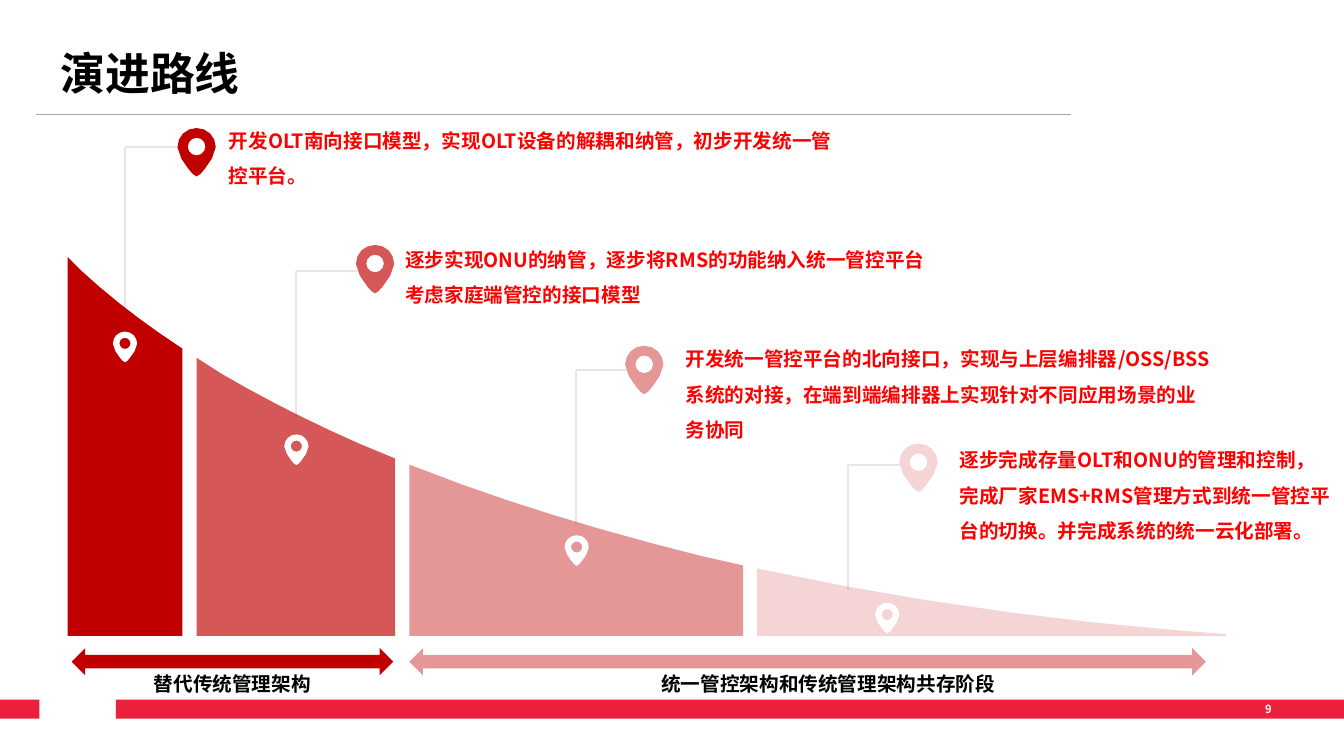
from math import cos, pi, sin
from lxml import etree
from pptx import Presentation
from pptx.dml.color import RGBColor
from pptx.enum.shapes import MSO_CONNECTOR, MSO_SHAPE
from pptx.enum.text import MSO_ANCHOR, MSO_AUTO_SIZE, PP_ALIGN
from pptx.oxml.ns import qn
from pptx.util import Inches, Pt

LINE = MSO_CONNECTOR.STRAIGHT
RECT, ARROW = MSO_SHAPE.RECTANGLE, MSO_SHAPE.LEFT_RIGHT_ARROW
TOP, MIDDLE = MSO_ANCHOR.TOP, MSO_ANCHOR.MIDDLE
GROW, FIXED = MSO_AUTO_SIZE.SHAPE_TO_FIT_TEXT, MSO_AUTO_SIZE.NONE
LEFT, CENTER = PP_ALIGN.LEFT, PP_ALIGN.CENTER
FONT = "Noto Sans CJK SC"
RED, BAR, BASE = "C00000", "EB203B", 6.31

deck = Presentation()
deck.slide_width, deck.slide_height = Inches(13.33), Inches(7.5)
COL, ROW = deck.slide_width / 13.33, deck.slide_height / 7.5
slide = deck.slides.add_slide(deck.slide_layouts[6])
shapes = slide.shapes


def paint(fill, tone, alpha=100):
    fill.solid()
    fill.fore_color.rgb = RGBColor.from_string(tone)
    if alpha < 100:
        node = fill._xPr.find(qn("a:solidFill"))[0]
        etree.SubElement(node, qn("a:alpha"), val=str(alpha * 1000))


def curve(a, b, c, d, steps):
    points = []
    for i in range(steps + 1):
        t = i / steps
        s = 1 - t
        points.append(tuple(s**3 * p + 3 * s * s * t * q + 3 * s * t * t * r + t**3 * e
                            for p, q, r, e in zip(a, b, c, d)))
    return points


stages = [
    {"tint": RED, "alpha": 100, "edge": (0.67, 1.81), "start": (0.67, 2.55),
     "bend": [(0.8, 2.68), (1.09, 2.95), (1.43, 3.21), (1.81, 3.46)], "end": (1.81, 3.46),
     "elbow": (1.8, 1.24, 1.46, 3.29), "pin": (1.95, 1.27), "dot": (1.24, 3.29)},
    {"tint": "D55757", "alpha": 66, "edge": (1.95, 3.92), "start": (1.95, 3.55),
     "bend": [(2.2, 3.71), (2.61, 3.95), (3.06, 4.18), (3.56, 4.4)], "end": (3.92, 4.55),
     "elbow": (3.64, 2.94, 2.69, 4.14), "pin": (3.72, 2.43), "dot": (2.94, 4.31)},
    {"tint": "E59696", "alpha": 41, "edge": (4.06, 7.37), "start": (4.06, 4.61),
     "bend": [(4.59, 4.81), (5.31, 5.07), (6.09, 5.3), (6.93, 5.51)], "end": (7.37, 5.61),
     "elbow": (6.27, 5.71, 3.67, 5.21), "pin": (6.39, 3.43), "dot": (5.72, 5.31)},
    {"tint": "F4D4D4", "alpha": 17, "edge": (7.51, 12.16), "start": (7.51, 5.64),
     "bend": [(7.56, 5.65), (8.86, 5.93), (10.26, 6.14), (11.75, 6.26)], "end": (12.16, 6.29),
     "elbow": (8.96, 8.41, 4.61, 5.85), "pin": (9.11, 4.4), "dot": (8.8, 5.98)},
]

lines = [(0.36, 1.14, 10.62, 1.14, "A6A6A6", 0.75)]
for stage in stages:
    far, x, y, foot = stage["elbow"]
    lines += [(far, y, x, y, "E7E6E6", 1.5), (x, y, x, foot, "E7E6E6", 1.5)]
for x1, y1, x2, y2, tone, width in lines:
    line = shapes.add_connector(LINE, int(x1 * COL), int(y1 * ROW), int(x2 * COL), int(y2 * ROW))
    paint(line.line.fill, tone)
    line.line.width = Pt(width)
    etree.SubElement(line._element.spPr, qn("a:effectLst"))

half = (curve((0, 0), (-0.56, 0), (-1, 0.44), (-1, 1), 4)
        + curve((-1, 1), (-1, 1.55), (-0.2, 2.4), (-0.2, 2.4), 3)[1:] + [(0, 2.53)])
drop = half + [(-x, y) for x, y in half[-2:0:-1]]
turns = [2 * pi * i / 12 for i in range(12)]
hole = [(0.46 * cos(a), 0.97 + 0.46 * sin(a)) for a in turns]

wedges, dots, pins = [], [], []
for stage in stages:
    left, right = stage["edge"]
    rim = [stage["start"]] + curve(*stage["bend"], 5) + [stage["end"]]
    wedges.append(([rim + [(right, BASE), (left, BASE)]], RED, stage["alpha"]))
    for group, spot, size, tone in ((dots, "dot", 0.12, "FFFFFF"),
                                    (pins, "pin", 0.19, stage["tint"])):
        cx, top = stage[spot]
        rings = [[(cx + x * size, top + y * size) for x, y in ring] for ring in (drop, hole)]
        group.append((rings, tone, 100))

for rings, tone, alpha in wedges + dots + pins:
    rings = [[(x * COL, y * ROW) for x, y in ring] for ring in rings]
    pen = shapes.build_freeform(*rings[0][0], scale=1.0)
    for i, ring in enumerate(rings):
        if i:
            pen.move_to(*ring[0])
        pen.add_line_segments(ring[1:], close=True)
    form = pen.convert_to_shape()
    form.shadow.inherit = False
    paint(form.fill, tone, alpha)
    form.line.fill.background()

for kind, x, y, w, h, tone in (
    (RECT, 1.15, 6.94, 12.18, 0.19, BAR),
    (RECT, 0, 6.94, 0.39, 0.19, BAR),
    (ARROW, 4.06, 6.43, 7.9, 0.27, "E59696"),
    (ARROW, 0.71, 6.43, 3.19, 0.27, RED),
):
    block = shapes.add_shape(kind, int(x * COL), int(y * ROW), int(w * COL), int(h * ROW))
    block.shadow.inherit = False
    paint(block.fill, tone)
    block.line.fill.background()

title = {"size": 32, "tone": "000000", "frame": {
    "vertical_anchor": MIDDLE, "auto_size": FIXED, "margin_left": 0,
    "margin_right": 0, "margin_top": 0, "margin_bottom": 0},
    "para": {"line_spacing": 0.9, "space_before": Pt(10), "alignment": LEFT}}
grow = {"vertical_anchor": TOP, "auto_size": GROW}
note = {"size": 14, "tone": "FF0000", "frame": grow, "para": {"line_spacing": 1.5}}
label = {"size": 14, "tone": "000000", "frame": grow, "para": {"alignment": CENTER}}
folio = {"size": 8, "tone": "FFFFFF", "frame": grow, "para": {"alignment": LEFT}}

for x, y, w, h, look, texts in (
    (0.6, 0.47, 9.49, 0.57, title, ["演进路线"]),
    (2.17, 1.11, 6.27, 0.77, note,
     ["开发OLT南向接口模型，实现OLT设备的解耦和纳管，初步开发统一管控平台。"]),
    (3.92, 2.29, 6.27, 0.77, note,
     ["逐步实现ONU的纳管，逐步将RMS的功能纳入统一管控平台", "考虑家庭端管控的接口模型"]),
    (6.7, 3.28, 5.45, 1.12, note,
     ["开发统一管控平台的北向接口，实现与上层编排器/OSS/BSS系统的对接，"
      "在端到端编排器上实现针对不同应用场景的业务协同"]),
    (9.42, 4.28, 3.91, 1.12, note,
     ["逐步完成存量OLT和ONU的管理和控制，完成厂家EMS+RMS管理方式到统一管控平台的切换。"
      "并完成系统的统一云化部署。"]),
    (1.01, 6.62, 2.59, 0.34, label, ["替代传统管理架构"]),
    (5.92, 6.62, 4.59, 0.34, label, ["统一管控架构和传统管理架构共存阶段"]),
    (12.45, 6.92, 0.57, 0.24, folio, ["9"]),
):
    box = shapes.add_textbox(int(x * COL), int(y * ROW), int(w * COL), int(h * ROW))
    frame = box.text_frame
    frame.word_wrap = True
    for key, value in look["frame"].items():
        setattr(frame, key, value)
    frame.text = "\n".join(texts)
    for para in frame.paragraphs:
        for key, value in look["para"].items():
            setattr(para, key, value)
        font = para.runs[0].font
        for key, value in {"name": FONT, "size": Pt(look["size"]), "bold": True}.items():
            setattr(font, key, value)
        paint(font.fill, look["tone"])
        etree.SubElement(font._element, qn("a:ea"), typeface=FONT)

deck.save("out.pptx")
